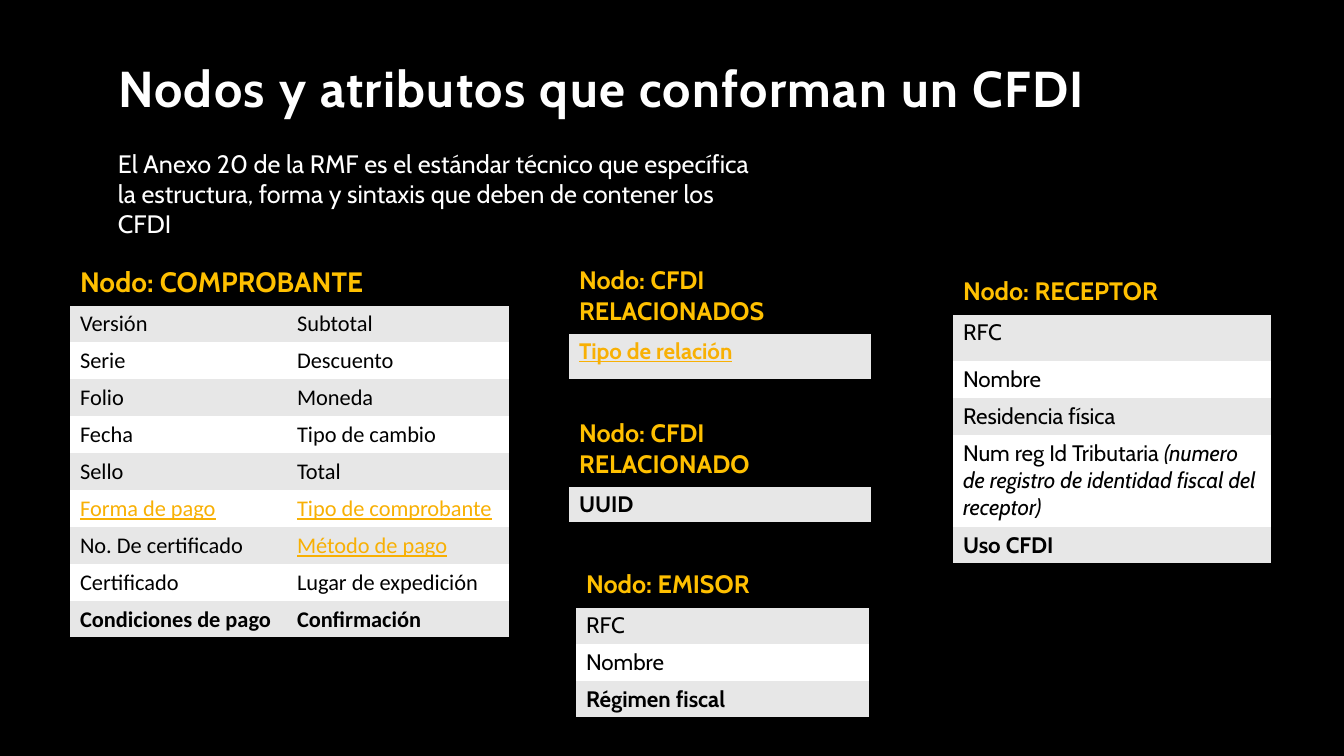
from lxml import etree
from pptx import Presentation, util as u
from pptx.dml.color import RGBColor
from pptx.enum import text as t
from pptx.oxml.ns import qn

PX = 914400 / 100.8

BLACK = RGBColor(0, 0, 0)
WHITE = RGBColor(255, 255, 255)
GREY = RGBColor(0xE7, 0xE7, 0xE7)
GOLD = RGBColor(0xFF, 0xC0, 0x00)
AMBER = RGBColor(0xF8, 0xB0, 0x04)

HEADING_FONT, VOUCHER_FONT = "Cabin", "Calibri"
NO_GRID_STYLE = "{2D5ABB26-0587-4C30-8999-92F81FD0307C}"
ROW = 37


def px(length):
    return u.Emu(round(length * PX))


def write(paragraph, wording, size=16, font=HEADING_FONT, color=BLACK,
          bold=False, italic=False, underline=False, spacing=None):
    run = paragraph.add_run()
    run.text = wording
    run.font.name, run.font.size = font, u.Pt(size)
    run.font.color.rgb = color
    run.font.bold, run.font.italic = bold, italic
    run.font.underline = underline
    if spacing:
        run.font._element.set("spc", str(spacing * 100))


def marked(wording, **extra):
    """Cell content shown as an underlined amber term."""
    return [(wording, dict(color=AMBER, underline=True, **extra))]


def fill_cell(cell, content, fill, **style):
    cell.fill.solid()
    cell.fill.fore_color.rgb = fill
    runs = [(content, {})] if isinstance(content, str) else content
    for wording, extra in runs:
        write(cell.text_frame.paragraphs[0], wording, **{**style, **extra})


def black_edges(cell, *edges):
    """Rule the given edges; edge tags must come before the cell's fill."""
    properties = cell._tc.get_or_add_tcPr()
    for position, edge in enumerate(edges):
        line = etree.Element(qn(f"a:{edge}"), w=str(u.Pt(2)))
        solid = etree.SubElement(line, qn("a:solidFill"))
        etree.SubElement(solid, qn("a:srgbClr"), val=str(BLACK))
        properties.insert(position, line)


def node_table(slide, left, top, widths, heading, attributes, heading_height=43,
               heading_size=18, heights=None, font=HEADING_FONT):
    """Gold node heading over banded attribute rows, the last one bold."""
    heights = [heading_height] + (heights or [ROW] * len(attributes))
    frame = slide.shapes.add_table(len(heights), len(widths), px(left), px(top),
                                   px(sum(widths)), px(sum(heights)))
    table = frame.table
    table.first_row = table.horz_banding = False
    table._tbl.tblPr.find(qn("a:tableStyleId")).text = NO_GRID_STYLE
    for column, width in zip(table.columns, widths):
        column.width = px(width)
    for row, height in zip(table.rows, heights):
        row.height = px(height)

    header = table.cell(0, 0)
    if len(widths) > 1:
        header.merge(table.cell(0, len(widths) - 1))
    fill_cell(header, heading, BLACK, size=heading_size, color=GOLD, bold=True)
    for cell in table.rows[0].cells:
        black_edges(cell, "lnT", "lnB")

    for number, contents in enumerate(attributes):
        last = number == len(attributes) - 1
        for cell, content in zip(table.rows[number + 1].cells, contents):
            fill_cell(cell, content, WHITE if number % 2 else GREY,
                      font=font, bold=last)
            if last:
                black_edges(cell, "lnB")


def heading_block(slide, left, top):
    title = slide.shapes.title
    title.left, title.top, title.width, title.height = map(
        px, (left, top, 1008, 72))
    frame = title.text_frame
    frame.auto_size = t.MSO_AUTO_SIZE.NONE
    frame.vertical_anchor = t.MSO_ANCHOR.BOTTOM
    paragraph = frame.paragraphs[0]
    paragraph.alignment = t.PP_ALIGN.LEFT
    paragraph.line_spacing = 0.9
    write(paragraph, "Nodos y atributos que conforman un CFDI",
          size=36, color=WHITE, bold=True, spacing=1)

    intro = slide.shapes.add_textbox(px(left), px(top + 91), px(671), px(72))
    intro.text_frame.word_wrap = True
    write(intro.text_frame.paragraphs[0],
          "El Anexo 20 de la RMF es el estándar técnico que específica la "
          "estructura, forma y sintaxis que deben de contener los CFDI",
          size=18, color=WHITE)


def voucher_node(slide, left, top):
    node_table(slide, left, top, [217, 222], "Nodo: COMPROBANTE", [
        ("Versión", "Subtotal"),
        ("Serie", "Descuento"),
        ("Folio", "Moneda"),
        ("Fecha", "Tipo de cambio"),
        ("Sello", "Total"),
        (marked("Forma de pago"), marked("Tipo de comprobante")),
        ("No. De certificado", marked("Método de pago")),
        ("Certificado", "Lugar de expedición"),
        ("Condiciones de pago", "Confirmación"),
    ], heading_height=45, heading_size=20, font=VOUCHER_FONT)


def related_nodes(slide, left, top):
    node_table(slide, left, top, [302], "Nodo: CFDI RELACIONADOS",
               [(marked("Tipo de relación"),)], heading_height=73, heights=[47])
    node_table(slide, left, top + 153, [302], "Nodo: CFDI RELACIONADO",
               [("UUID",)], heading_height=73)


def issuer_node(slide, left, top):
    node_table(slide, left, top, [293], "Nodo: EMISOR",
               [("RFC",), ("Nombre",), ("Régimen fiscal",)])


def receiver_node(slide, left, top):
    tax_id = [("Num reg Id Tributaria ", {}),
              ("(numero de registro de identidad fiscal del receptor)",
               dict(italic=True))]
    node_table(slide, left, top, [318], "Nodo: RECEPTOR",
               [("RFC",), ("Nombre",), ("Residencia física",), (tax_id,),
                ("Uso CFDI",)],
               heights=[47, ROW, ROW, 92, ROW])


def main():
    deck = Presentation()
    deck.slide_width, deck.slide_height = px(1344), px(756)
    slide = deck.slides.add_slide(deck.slide_layouts[5])
    slide.background.fill.solid()
    slide.background.fill.fore_color.rgb = BLACK
    heading_block(slide, 108, 52)
    voucher_node(slide, 70, 260)
    related_nodes(slide, 569, 260)
    issuer_node(slide, 576, 564)
    receiver_node(slide, 953, 271)
    deck.save("out.pptx")


if __name__ == "__main__":
    main()
